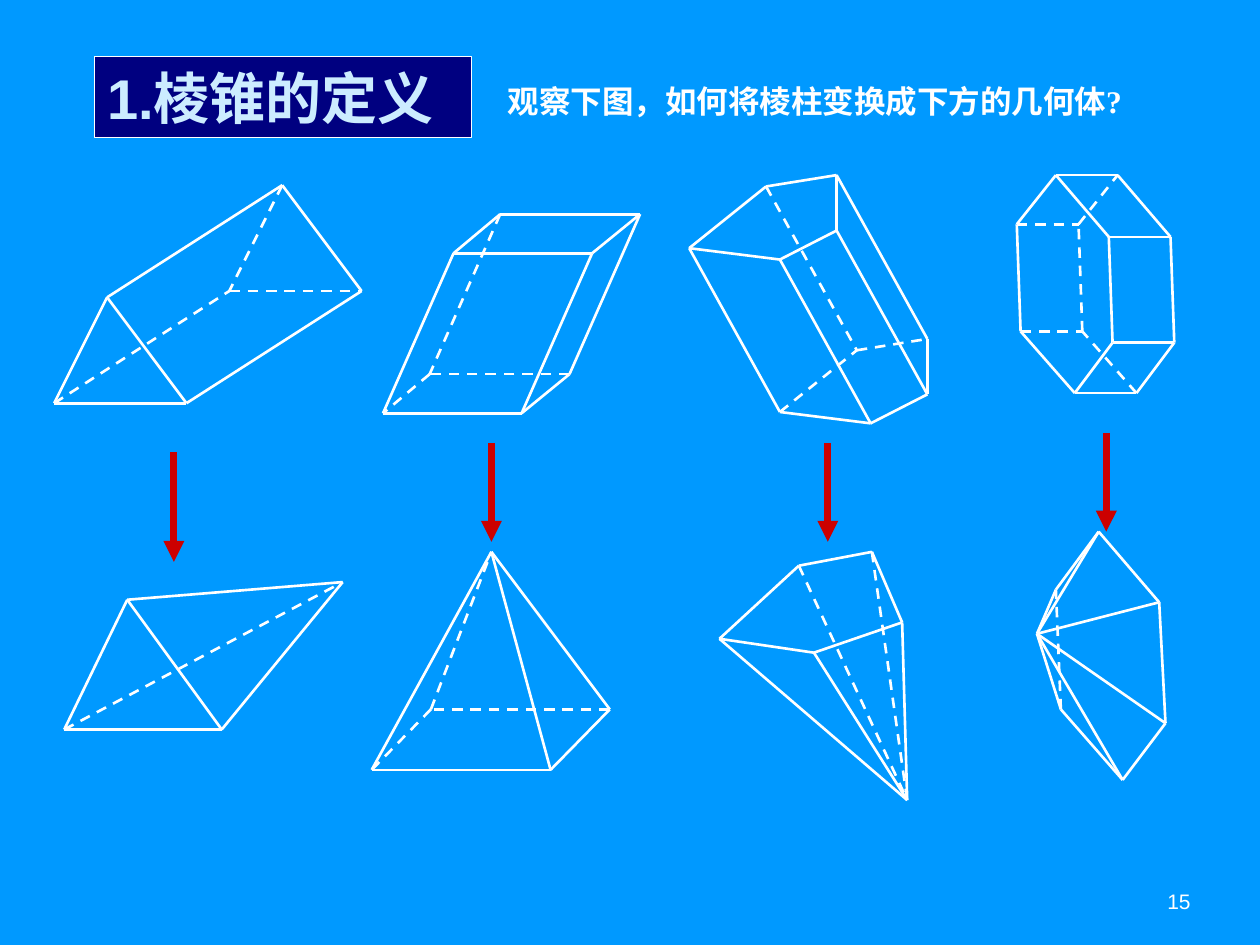
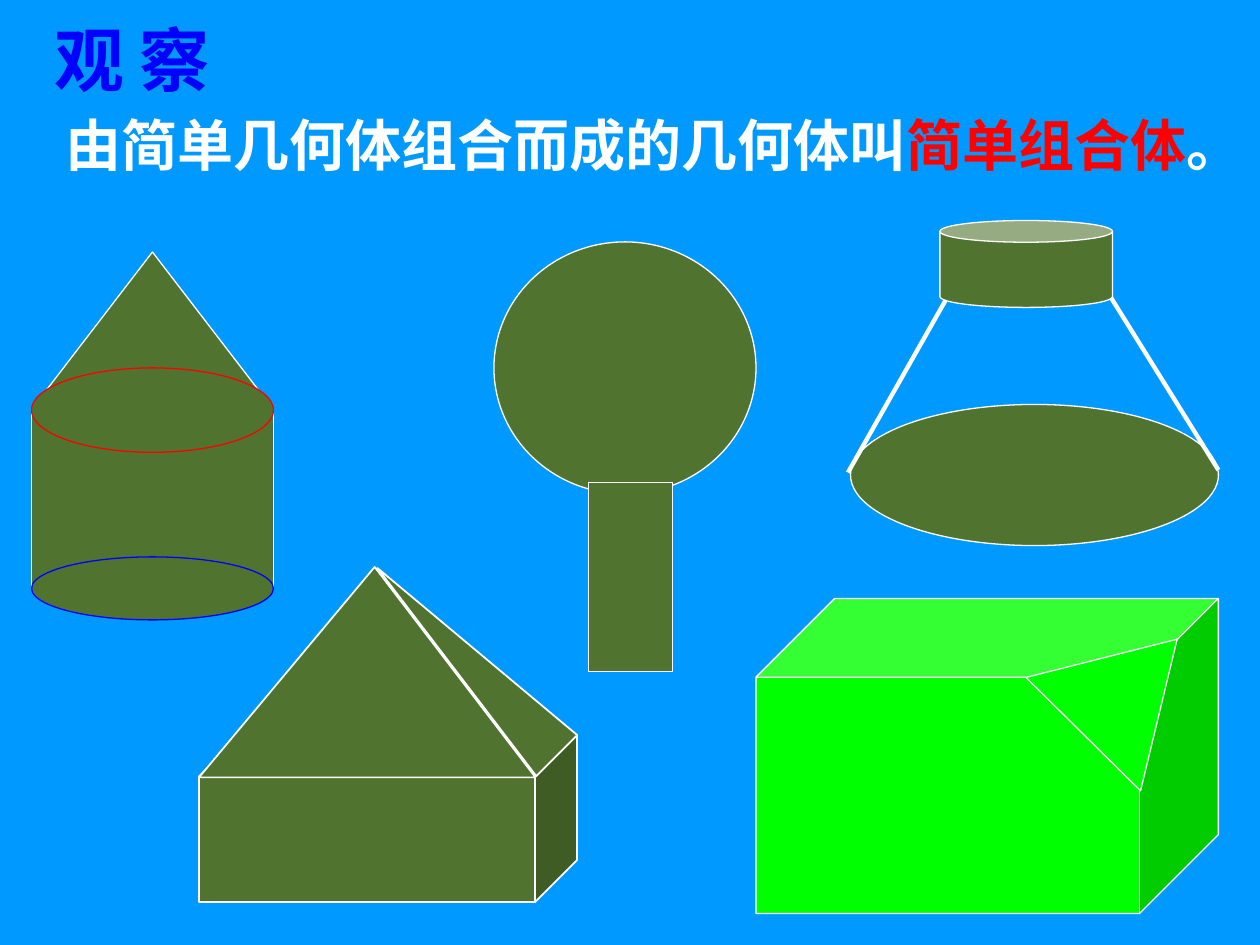
from collections import namedtuple
from dataclasses import dataclass

import pptx
import pptx.dml.color
import pptx.enum.dml
import pptx.enum.shapes
import pptx.enum.text
import pptx.oxml
import pptx.oxml.ns
import pptx.util
from pptx.util import Inches

SHAPE = pptx.enum.shapes.MSO_SHAPE
ALIGN = pptx.enum.text.PP_ALIGN
ANCHOR = pptx.enum.text.MSO_ANCHOR

Box = namedtuple("Box", "left top width height")
Column = namedtuple("Column", "prism arrow pyramid")
Prism = namedtuple("Prism", "left top base shift hidden")
Pyramid = namedtuple("Pyramid", "left top base apex hidden")


@dataclass(frozen=True)
class Theme:
    sky: str = "0099FF"
    white: str = "FFFFFF"
    navy: str = "000080"
    ice: str = "CCECFF"
    blue: str = "0000FF"
    red: str = "FF0000"
    arrow: str = "CC0000"
    olive: str = "50742F"
    green: str = "00FF00"
    latin: str = "Arial"
    serif: str = "Times New Roman"
    chinese: str = "Noto Sans CJK SC"
    heading: str = "Noto Sans CJK JP"
    heading_size: int = 40
    body_size: int = 32
    question_size: int = 18
    number_size: int = 12
    thin: float = 0.75
    roof: float = 1
    edge: float = 1.5
    side: float = 2.5
    thick: float = 4


THEME = Theme()


# Shared helpers
def rgb(colour):
    return pptx.dml.color.RGBColor.from_string(colour)


def add_run(paragraph, text, size, colour, latin, bold=True, chinese=THEME.chinese):
    run = paragraph.add_run()
    run.text = text
    font = run.font
    font.size, font.bold, font.name = pptx.util.Pt(size), bold, latin
    font.color.rgb = rgb(colour)
    properties = run._r.get_or_add_rPr()
    east_asian = pptx.oxml.parse_xml(
        f'<a:ea {pptx.oxml.ns.nsdecls("a")} typeface="{chinese}"/>')
    properties.append(east_asian)


def add_label(slide, box, wrap=True):
    label = slide.shapes.add_textbox(*map(Inches, box))
    label.text_frame.word_wrap = wrap
    return label.text_frame


def format_title(slide, box, text, size, colour, latin, chinese):
    title = slide.shapes.title
    title.left, title.top, title.width, title.height = map(Inches, box)
    frame = title.text_frame
    frame.auto_size = pptx.enum.text.MSO_AUTO_SIZE.NONE
    frame.word_wrap = True
    frame.vertical_anchor = ANCHOR.MIDDLE
    paragraph = frame.paragraphs[0]
    paragraph.alignment = ALIGN.LEFT
    add_run(paragraph, text, size, colour, latin, chinese=chinese)
    return title


def add_line(slide, start, end, colour=THEME.white, width=THEME.edge,
             dashed=False, arrow=False):
    line = slide.shapes.add_connector(
        pptx.enum.shapes.MSO_CONNECTOR.STRAIGHT, *map(Inches, (*start, *end)))
    line.line.color.rgb = rgb(colour)
    line.line.width = pptx.util.Pt(width)
    if dashed:
        line.line.dash_style = pptx.enum.dml.MSO_LINE.DASH
    namespace = pptx.oxml.ns.nsdecls("a")
    if arrow:
        line.get_or_add_ln().append(
            pptx.oxml.parse_xml(f'<a:tailEnd {namespace} type="triangle"/>'))
    line._element.spPr.append(pptx.oxml.parse_xml(f"<a:effectLst {namespace}/>"))


def add_part(slide, kind, origin, place, fill=THEME.olive, outline=THEME.white,
             width=THEME.thin, rotation=0, adjust=None):
    """Place one preset shape relative to the origin of its solid."""
    left, top, *size = place
    part = slide.shapes.add_shape(
        kind, *map(Inches, (origin[0] + left, origin[1] + top, *size)))
    part.shadow.inherit = False
    part.fill.solid()
    part.fill.fore_color.rgb = rgb(fill)
    part.line.color.rgb = rgb(outline)
    part.line.width = pptx.util.Pt(width)
    part.rotation = rotation
    if adjust is not None:
        part.adjustments[0] = adjust


# Wireframe solids: an edge is dashed when it holds a hidden vertex or pair
def draw_edges(slide, solid, vertices, edges):
    points = [(solid.left + x, solid.top + y) for x, y in vertices]
    for start, end in edges:
        dashed = any(set(mark) <= {start, end} for mark in solid.hidden)
        add_line(slide, points[start], points[end], dashed=dashed)


def ring(count, first=0):
    return [(first + i, first + (i + 1) % count) for i in range(count)]


def draw_prism(slide, prism):
    count = len(prism.base)
    dx, dy = prism.shift
    far_base = [(x + dx, y + dy) for x, y in prism.base]
    laterals = [(i, i + count) for i in range(count)]
    draw_edges(slide, prism, prism.base + far_base,
               ring(count) + ring(count, count) + laterals)


def draw_pyramid(slide, pyramid):
    count = len(pyramid.base)
    laterals = [(i, count) for i in range(count)]
    draw_edges(slide, pyramid, pyramid.base + [pyramid.apex],
               ring(count) + laterals)


# Each arrow is x, top, bottom; vertices are relative to the solid's corner
COLUMNS = [
    Column(Prism(0.43, 1.47, [(0, 1.73), (1.05, 1.73), (0.42, 0.89)],
                 (1.39, -0.89), [(3,)]),
           (1.38, 3.59, 4.46),
           Pyramid(0.51, 4.62, [(0, 1.17), (1.25, 1.17), (0.5, 0.14)],
                   (2.21, 0), [(0, 3)])),
    Column(Prism(3.03, 1.7, [(0.57, 0.31), (1.67, 0.31), (2.05, 0), (0.94, 0)],
                 (-0.56, 1.27), [(7,)]),
           (3.9, 3.52, 4.3),
           Pyramid(2.95, 4.38, [(0, 1.73), (1.42, 1.73), (1.89, 1.25), (0.47, 1.25)],
                   (0.95, 0), [(3,)])),
    Column(Prism(5.47, 1.39,
                 [(0, 0.58), (0.61, 0.09), (1.17, 0), (1.17, 0.44), (0.72, 0.67)],
                 (0.72, 1.3), [(6,)]),
           (6.57, 3.52, 4.3),
           Pyramid(5.71, 4.38,
                   [(0, 0.69), (0.63, 0.11), (1.21, 0), (1.45, 0.56), (0.75, 0.8)],
                   (1.49, 1.97), [(1, 5), (2, 5)])),
    Column(Prism(8.07, 1.39,
                 [(0, 0.39), (0.31, 0), (0.73, 0.49), (0.76, 1.33), (0.46, 1.73),
                  (0.03, 1.24)],
                 (0.49, 0), [(6,), (11,)]),
           (8.78, 3.44, 4.22),
           Pyramid(8.23, 4.22,
                   [(0.49, 0), (0.97, 0.56), (1.02, 1.52), (0.68, 1.97),
                    (0.19, 1.41), (0.15, 0.46)],
                   (0, 0.81), [(4, 5)])),
]


def draw_column(slide, column):
    draw_prism(slide, column.prism)
    draw_pyramid(slide, column.pyramid)
    x, top, bottom = column.arrow
    add_line(slide, (x, top), (x, bottom), THEME.arrow, THEME.thick, arrow=True)


def add_page_number(slide, box, number):
    frame = add_label(slide, box)
    frame.margin_left = frame.margin_right = Inches(0.05)
    frame.vertical_anchor = ANCHOR.MIDDLE
    paragraph = frame.paragraphs[0]
    paragraph.alignment = ALIGN.RIGHT
    add_run(paragraph, number, THEME.number_size, THEME.white, THEME.latin, bold=False)


def build_pyramid_slide(slide):
    title = format_title(slide, Box(0.75, 0.45, 2.99, 0.64), "1.棱锥的定义",
                         THEME.body_size, THEME.ice, THEME.latin, THEME.chinese)
    title.fill.solid()
    title.fill.fore_color.rgb = rgb(THEME.navy)
    title.line.color.rgb = rgb(THEME.white)
    title.line.width = pptx.util.Pt(THEME.thin)

    question = add_label(slide, Box(3.93, 0.6, 5.13, 0.4), wrap=False).paragraphs[0]
    add_run(question, "观察下图，如何将棱柱变换成下方的几何体",
            THEME.question_size, THEME.white, THEME.latin)
    add_run(question, "?", THEME.question_size, THEME.white, THEME.serif)

    for column in COLUMNS:
        draw_column(slide, column)
    add_page_number(slide, Box(7.17, 6.95, 2.33, 0.4), "15")


# Composite solids, each placed from its upper left corner
def draw_cone_on_cylinder(slide, corner):
    add_part(slide, SHAPE.RECTANGLE, corner, (0, 1.25, 1.92, 1.42))
    add_part(slide, SHAPE.OVAL, corner, (0, 2.42, 1.92, 0.5), outline=THEME.blue)
    add_part(slide, SHAPE.ISOSCELES_TRIANGLE, corner, (0, 0, 1.92, 1.25))
    add_part(slide, SHAPE.OVAL, corner, (0, 0.92, 1.92, 0.67), outline=THEME.red)


def draw_ball_on_post(slide, corner):
    add_part(slide, SHAPE.OVAL, corner, (0, 0, 2.08, 2))
    add_part(slide, SHAPE.RECTANGLE, corner, (0.75, 1.91, 0.67, 1.5))


def draw_flask(slide, corner):
    left, top = corner
    add_part(slide, SHAPE.OVAL, corner, (0.02, 1.46, 2.92, 1.12))
    for neck, foot in (((0.85, 0.5), (0, 2)), ((2.08, 0.6), (2.94, 1.98))):
        add_line(slide, (left + neck[0], top + neck[1]),
                 (left + foot[0], top + foot[1]), width=THEME.side)
    add_part(slide, SHAPE.CAN, corner, (0.73, 0, 1.37, 0.69), adjust=0.25)


def draw_cut_block(slide, corner):
    add_part(slide, SHAPE.CUBE, corner, (0, 0, 3.67, 2.5), THEME.green, adjust=0.25)
    add_part(slide, SHAPE.ISOSCELES_TRIANGLE, corner, (2.33, 0.17, 1.28, 1.06),
             THEME.green, rotation=44.7)


def draw_house(slide, corner):
    add_part(slide, SHAPE.CUBE, corner, (0, 1.33, 3, 1.33),
             width=THEME.roof, adjust=0.25)
    add_part(slide, SHAPE.ISOSCELES_TRIANGLE, corner, (0, 0, 2.67, 1.67),
             width=THEME.roof, adjust=0.522)
    add_part(slide, SHAPE.ISOSCELES_TRIANGLE, corner, (1.88, -0.26, 0.46, 2.06),
             width=THEME.roof, rotation=314.9, adjust=0.608)


def build_composite_slide(slide):
    format_title(slide, Box(0.33, 0.08, 1.5, 0.77), "观 察", THEME.heading_size,
                 THEME.blue, THEME.heading, THEME.heading)

    definition = add_label(slide, Box(0.42, 0.83, 9.83, 0.79)).paragraphs[0]
    for text, colour in (("由简单几何体组合而成的几何体叫", THEME.white),
                         ("简单组合体", THEME.red), ("。", THEME.white)):
        add_run(definition, text, THEME.body_size, colour, THEME.chinese)

    draw_cone_on_cylinder(slide, (0.25, 2))
    draw_ball_on_post(slide, (3.92, 1.92))
    draw_flask(slide, (6.73, 1.75))
    draw_cut_block(slide, (6, 4.75))
    draw_house(slide, (1.58, 4.5))


def main():
    deck = pptx.Presentation()
    deck.slide_width, deck.slide_height = Inches(10), Inches(7.5)
    background = deck.slide_master.background.fill
    background.solid()
    background.fore_color.rgb = rgb(THEME.sky)
    title_only = deck.slide_layouts[5]
    for build in (build_pyramid_slide, build_composite_slide):
        build(deck.slides.add_slide(title_only))
    deck.save("out.pptx")


if __name__ == "__main__":
    main()
